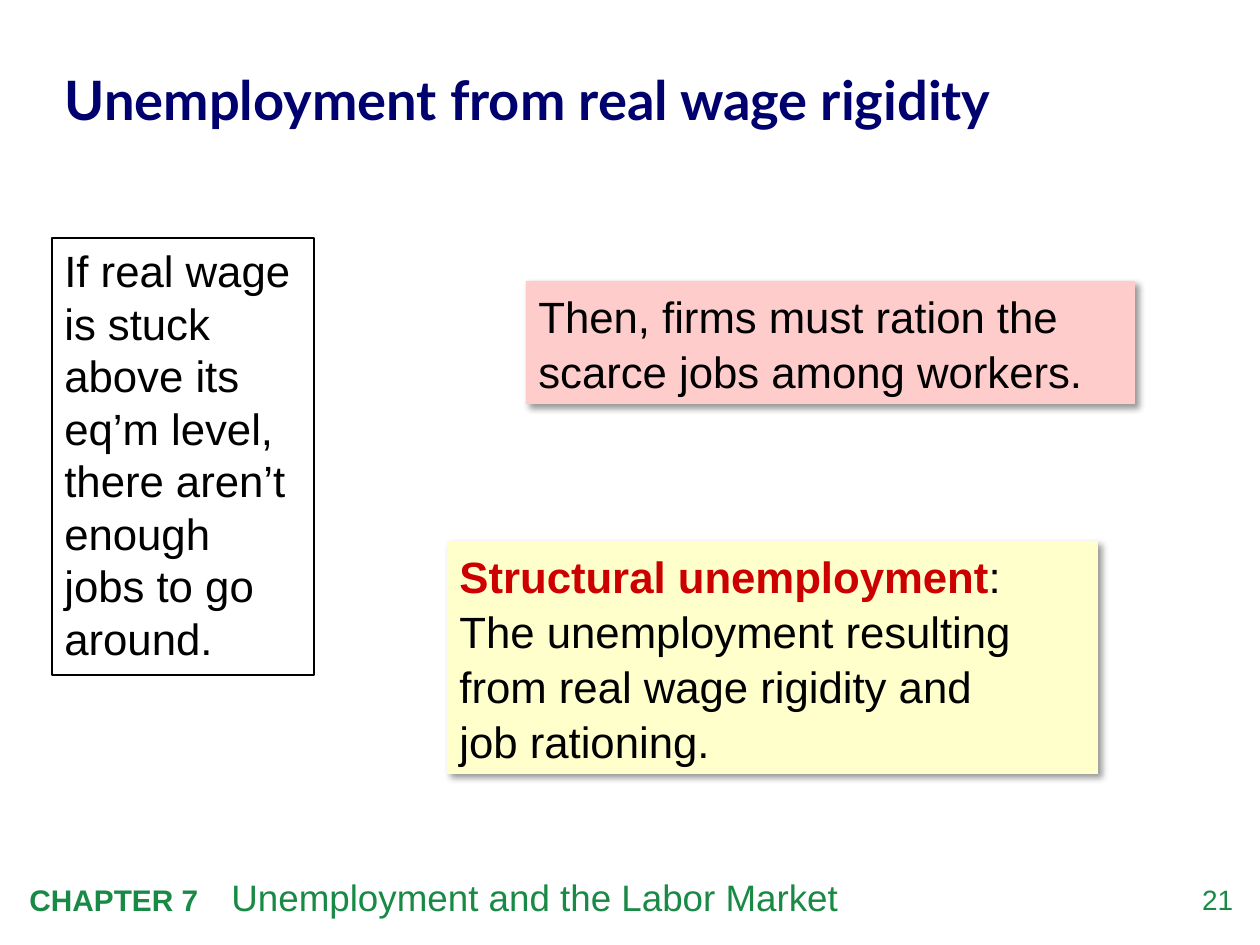
from dataclasses import dataclass
from typing import Optional

from lxml.etree import SubElement
from pptx import Presentation
from pptx.dml.color import RGBColor
from pptx.enum.shapes import MSO_SHAPE as Preset
from pptx.enum.text import MSO_ANCHOR as Anchor, PP_ALIGN as Align
from pptx.oxml.ns import qn
from pptx.util import Emu, Pt

PX_PER_INCH = 126


@dataclass(frozen=True)
class Theme:
    navy: str = "00006E"
    green: str = "198A46"
    red: str = "CC0000"
    black: str = "000000"
    white: str = "FFFFFF"
    pink: str = "FFCCCC"
    yellow: str = "FFFFCC"
    heading_font: str = "Lato"
    body_font: str = "Arial"
    title_size: int = 31
    body_size: int = 25
    footer_size: int = 21
    chapter_size: int = 17
    number_size: int = 16


THEME = Theme()


@dataclass(frozen=True)
class Span:
    text: str
    color: str = THEME.black
    size: int = THEME.body_size
    bold: bool = False
    font: str = THEME.body_font


@dataclass(frozen=True)
class Box:
    left: int
    top: int
    width: int
    height: int
    spans: tuple[Span, ...]
    fill: Optional[str] = None
    outlined: bool = False
    shadowed: bool = False
    spacing: float = 1.0
    inset: bool = True
    anchor: Anchor = Anchor.TOP
    align: Align = Align.LEFT
    tab: Optional[int] = None


def px(length: int) -> Emu:
    return Emu(round(length * 914400 / PX_PER_INCH))


def add_shadow(shape) -> None:
    effects = shape._element.spPr.find(qn("a:effectLst"))
    shadow = SubElement(effects, qn("a:outerShdw"), blurRad=str(Pt(4)),
                        dist=str(Pt(3)), dir=str(45 * 60000), rotWithShape="0")
    color = SubElement(shadow, qn("a:srgbClr"), val=THEME.black)
    SubElement(color, qn("a:alpha"), val="40000")


def write_spans(paragraph, spans: tuple[Span, ...]) -> None:
    for span in spans:
        for index, line in enumerate(span.text.split("\n")):
            if index:
                paragraph.add_line_break()
            run = paragraph.add_run()
            run.text = line
            run.font.name = span.font
            run.font.size = Pt(span.size)
            run.font.bold = span.bold
            run.font.color.rgb = RGBColor.from_string(span.color)


def draw_box(slide, box: Box) -> None:
    frame = tuple(map(px, (box.left, box.top, box.width, box.height)))
    if box.fill:
        shape = slide.shapes.add_shape(Preset.RECTANGLE, *frame)
        shape.shadow.inherit = False
        shape.fill.solid()
        shape.fill.fore_color.rgb = RGBColor.from_string(box.fill)
        if box.outlined:
            shape.line.color.rgb = RGBColor.from_string(THEME.black)
            shape.line.width = Pt(0.75)
        else:
            shape.line.fill.background()
        if box.shadowed:
            add_shadow(shape)
    else:
        shape = slide.shapes.add_textbox(*frame)

    text = shape.text_frame
    text.word_wrap = True
    text.vertical_anchor = box.anchor
    if not box.inset:
        text.margin_left = text.margin_right = 0
        text.margin_top = text.margin_bottom = 0
    paragraph = text.paragraphs[0]
    paragraph.alignment = box.align
    paragraph.line_spacing = box.spacing
    if box.tab:
        stops = SubElement(paragraph._p.get_or_add_pPr(), qn("a:tabLst"))
        SubElement(stops, qn("a:tab"), pos=str(px(box.tab)), algn="l")
    write_spans(paragraph, box.spans)


# Footer
PAGE_NUMBER = Box(1164, 883, 69, 40,
                  (Span("21", THEME.green, THEME.number_size),),
                  inset=False, align=Align.RIGHT)
CHAPTER = Box(17, 869, 1031, 57, (
    Span("CHAPTER 7\t", THEME.green, THEME.chapter_size, bold=True),
    Span("Unemployment and the Labor Market", THEME.green, THEME.footer_size),
), tab=202)

# Heading
TITLE = Box(65, 32, 1137, 130,
            (Span("Unemployment from real wage rigidity", THEME.navy,
                  THEME.title_size, True, THEME.heading_font),),
            spacing=1.05, inset=False, anchor=Anchor.MIDDLE)

# Argument: rationing, definition, premise
RATIONING = Box(526, 281, 609, 123,
                (Span("Then, firms must ration the scarce jobs among workers."),),
                fill=THEME.pink, shadowed=True, spacing=1.05)
DEFINITION = Box(447, 541, 651, 233, (
    Span("Structural unemployment", THEME.red, bold=True),
    Span(": The unemployment resulting from real wage rigidity and\n"
         "job rationing."),
), fill=THEME.yellow, shadowed=True, spacing=1.05)
PREMISE = Box(52, 238, 262, 437,
              (Span("If real wage is stuck above its eq’m level, "
                    "there aren’t enough jobs to go around."),),
              fill=THEME.white, outlined=True)


def main() -> None:
    deck = Presentation()
    deck.slide_width, deck.slide_height = px(1260), px(945)
    slide = deck.slides.add_slide(deck.slide_layouts[6])
    for box in (PAGE_NUMBER, CHAPTER, TITLE, RATIONING, DEFINITION, PREMISE):
        draw_box(slide, box)
    deck.save("out.pptx")


if __name__ == "__main__":
    main()
